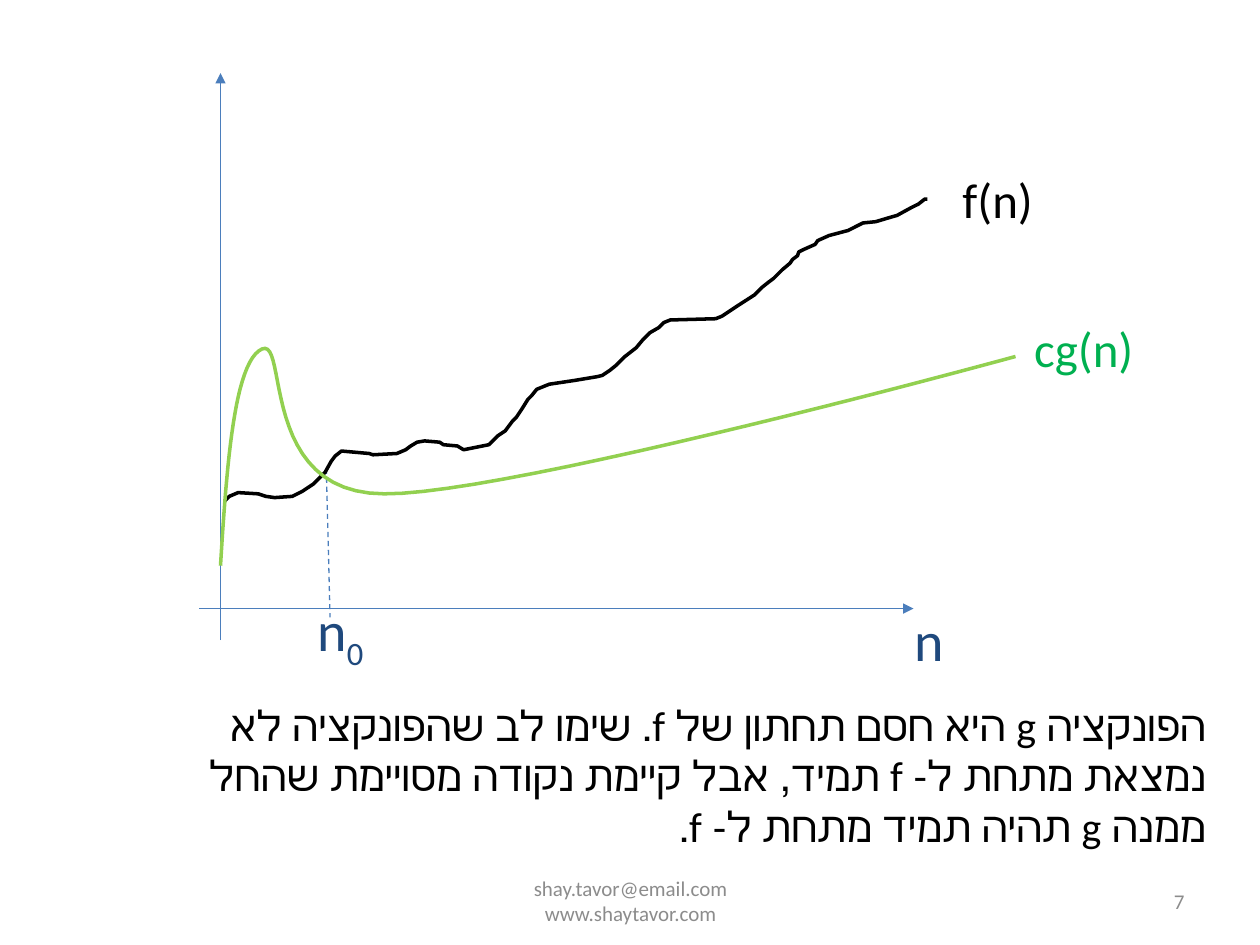
from lxml.etree import SubElement
from pptx import Presentation
from pptx.dml.color import RGBColor
from pptx.enum.dml import MSO_LINE
from pptx.enum.shapes import MSO_CONNECTOR
from pptx.enum.text import MSO_ANCHOR, PP_ALIGN
from pptx.oxml.ns import qn
from pptx.util import Inches, Pt


def color(value):
    return RGBColor.from_string(value)


def add_text(left, top, width, height, runs, size, fill, align=PP_ALIGN.LEFT):
    box = slide.shapes.add_textbox(Inches(left), Inches(top), Inches(width), Inches(height))
    box.text_frame.word_wrap = True
    para = box.text_frame.paragraphs[0]
    para.alignment = align
    for text in runs:
        span = para.add_run()
        span.text = text
        span.font.size = Pt(size)
        span.font.name = "Calibri"
        span.font.color.rgb = color(fill)
    return box


deck = Presentation()
deck.slide_width, deck.slide_height = Inches(10), Inches(7.5)
slide = deck.slides.add_slide(deck.slide_layouts[6])

# Axes and the dashed marker at n0
for x1, y1, x2, y2, is_axis in [
    (1.75, 5.08, 1.75, 0.58, True),
    (1.58, 4.83, 7.25, 4.83, True),
    (2.59, 3.72, 2.62, 4.9, False),
]:
    line = slide.shapes.add_connector(
        MSO_CONNECTOR.STRAIGHT, Inches(x1), Inches(y1), Inches(x2), Inches(y2))
    line.line.color.rgb = color("4B7EBC")
    line.line.width = Pt(0.75)
    if is_axis:
        SubElement(line.line._get_or_add_ln(), qn("a:tailEnd"), type="triangle")
    else:
        line.line.dash_style = MSO_LINE.DASH
    SubElement(line._element.spPr, qn("a:effectLst"))

# Points of the irregular curve f(n)
f_points = [
    (1.78, 3.98), (1.82, 3.94), (1.89, 3.91), (2.05, 3.92), (2.11, 3.94), (2.18, 3.95),
    (2.32, 3.94), (2.4, 3.9), (2.49, 3.84), (2.53, 3.8), (2.58, 3.75), (2.63, 3.66),
    (2.66, 3.62), (2.71, 3.58), (2.93, 3.6), (2.96, 3.61), (3.15, 3.6), (3.22, 3.57),
    (3.26, 3.54), (3.31, 3.51), (3.37, 3.5), (3.49, 3.51), (3.52, 3.53), (3.63, 3.54),
    (3.68, 3.57), (3.88, 3.53), (3.95, 3.46), (4.01, 3.42), (4.07, 3.34), (4.1, 3.31),
    (4.14, 3.25), (4.19, 3.17), (4.22, 3.14), (4.26, 3.09), (4.36, 3.05), (4.56, 3.02),
    (4.74, 2.99), (4.78, 2.98), (4.84, 2.94), (4.89, 2.9), (4.96, 2.83), (5.05, 2.76),
    (5.1, 2.7), (5.16, 2.64), (5.23, 2.6), (5.27, 2.56), (5.32, 2.54), (5.68, 2.53),
    (5.73, 2.51), (5.85, 2.43), (5.99, 2.34), (6.05, 2.28), (6.1, 2.24), (6.14, 2.21),
    (6.21, 2.14), (6.27, 2.09), (6.29, 2.06), (6.33, 2.03), (6.34, 2), (6.38, 1.98),
    (6.47, 1.94), (6.49, 1.91), (6.58, 1.87), (6.73, 1.83), (6.85, 1.77), (6.95, 1.76),
    (7.05, 1.73), (7.12, 1.71), (7.23, 1.65), (7.29, 1.62), (7.34, 1.58), (7.36, 1.58),
]

# Smooth curve cg(n), sampled along three cubic segments
g_controls = [
    (1.75, 4.49), (1.8, 3.68), (1.86, 2.87), (2.08, 2.77), (2.29, 2.68),
    (2.05, 3.92), (3.05, 3.92), (4.05, 3.93), (8.06, 2.83), (8.06, 2.83),
]
steps = 24
g_points = [g_controls[0]]
for first in range(0, 9, 3):
    segment = g_controls[first:first + 4]
    for step in range(1, steps + 1):
        t = step / steps
        weights = [(1 - t) ** 3, 3 * t * (1 - t) ** 2, 3 * t ** 2 * (1 - t), t ** 3]
        g_points.append(tuple(
            sum(weight * point[axis] for weight, point in zip(weights, segment))
            for axis in (0, 1)))

for points, stroke in [(f_points, "000000"), (g_points, "92D050")]:
    corners = [(Inches(x), Inches(y)) for x, y in points]
    builder = slide.shapes.build_freeform(*corners[0])
    builder.add_line_segments(corners[1:], close=False)
    curve = builder.convert_to_shape()
    curve.shadow.inherit = False
    curve.fill.background()
    curve.line.color.rgb = color(stroke)
    curve.line.width = Pt(2)

# Labels of axes and curves
add_text(7.16, 4.76, 0.75, 0.64, ["n"], 32, "1F497D")
add_text(7.54, 1.3, 0.92, 0.57, ["f(n)"], 28, "000000")
add_text(8.11, 2.48, 1.04, 0.57, ["cg(n)"], 28, "00B050")
start_label = add_text(2.42, 4.68, 0.75, 0.64, ["n", "0"], 32, "1F497D")
subscript = start_label.text_frame.paragraphs[0].runs[1]
subscript.font._element.set("baseline", "-25000")

# Explanation, written right to left
explanation = add_text(0.75, 5.5, 8.92, 1.31, [
    "הפונקציה g היא חסם תחתון של f. שימו לב שהפונקציה לא נמצאת מתחת ל- f תמיד, "
    "אבל קיימת נקודה מסויימת שהחל ממנה g תהיה תמיד מתחת ל- f."
], 24, "000000", PP_ALIGN.RIGHT)
explanation.text_frame.paragraphs[0]._p.get_or_add_pPr().set("rtl", "1")

# Footer and page number
footer = add_text(3.42, 6.95, 3.17, 0.4, ["shay.tavor@email.com"], 12, "8C8C8C", PP_ALIGN.CENTER)
para = footer.text_frame.paragraphs[0]
para.add_line_break()
span = para.add_run()
span.text = "www.shaytavor.com"
span.font.size = Pt(12)
span.font.name = "Calibri"
span.font.color.rgb = color("8C8C8C")
number = add_text(7.17, 6.95, 2.33, 0.4, ["7"], 12, "8C8C8C", PP_ALIGN.RIGHT)
for box in (footer, number):
    box.text_frame.vertical_anchor = MSO_ANCHOR.MIDDLE

deck.save("out.pptx")
